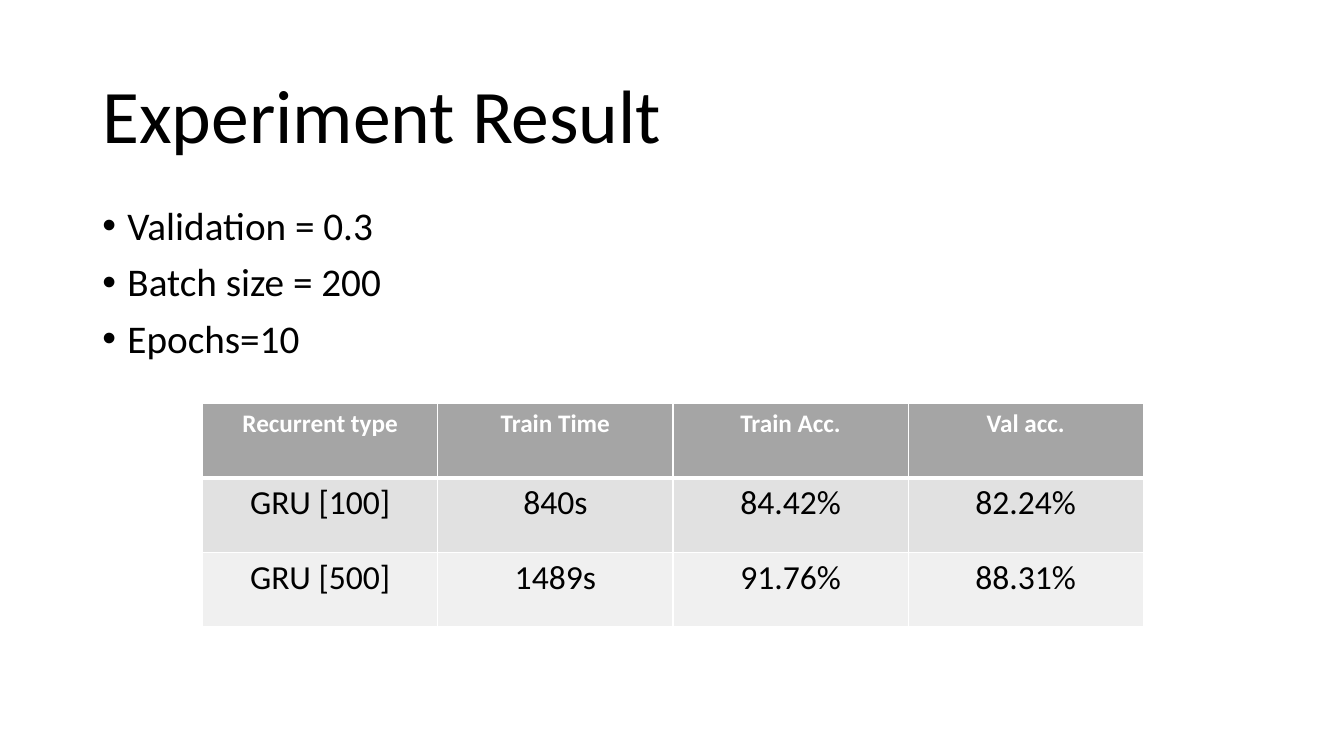
from dataclasses import dataclass

from lxml import etree
from pptx import Presentation
from pptx import util as u
from pptx.dml.color import RGBColor
from pptx.enum import text
from pptx.oxml.ns import qn

EMU_PER_PX = 9525


@dataclass(frozen=True)
class Theme:
    font: str = "Calibri"
    ink: str = "000000"
    paper: str = "FFFFFF"
    header_fill: str = "A5A5A5"
    band_fills: tuple = ("E1E1E1", "F0F0F0")
    title_size: int = 54
    bullet_size: int = 28
    header_size: int = 18
    value_size: int = 24
    thin_rule: int = 1
    thick_rule: int = 3


THEME = Theme()

SETTINGS = ["Validation = 0.3", "Batch size = 200", "Epochs=10"]
RESULTS = [
    ["Recurrent type", "Train Time", "Train Acc.", "Val acc."],
    ["GRU [100]", "840s", "84.42%", "82.24%"],
    ["GRU [500]", "1489s", "91.76%", "88.31%"],
]


def px(length):
    return u.Emu(length * EMU_PER_PX)


def write_text(paragraph, words, *, size, color=THEME.ink, bold=False,
               align=text.PP_ALIGN.LEFT):
    paragraph.alignment = align
    run = paragraph.add_run()
    run.text = words
    run.font.name = THEME.font
    run.font.size = u.Pt(size)
    run.font.bold = bold
    run.font.color.rgb = RGBColor.from_string(color)


def add_text_frame(slide, left, top, width, height):
    box = slide.shapes.add_textbox(px(left), px(top), px(width), px(height))
    box.text_frame.word_wrap = True
    return box.text_frame


def add_title(slide, words):
    frame = add_text_frame(slide, 88, 60, 1104, 97)
    write_text(frame.paragraphs[0], words, size=THEME.title_size)


def set_bullet(paragraph, indent):
    """Hang the paragraph by indent px behind a round bullet."""
    properties = paragraph._p.get_or_add_pPr()
    properties.set("marL", str(px(indent)))
    properties.set("indent", str(-px(indent)))
    etree.SubElement(properties, qn("a:buFont"), typeface="Arial")
    etree.SubElement(properties, qn("a:buChar"), char="•")


def add_bullets(slide, items):
    frame = add_text_frame(slide, 88, 192, 1104, 457)
    for index, item in enumerate(items):
        paragraph = frame.add_paragraph() if index else frame.paragraphs[0]
        paragraph.line_spacing = 0.9
        paragraph.space_before = u.Pt(10)
        set_bullet(paragraph, 24)
        write_text(paragraph, item, size=THEME.bullet_size)


def set_borders(cell, **widths):
    """Rule the sides L, R, T and B, in that order, at widths in points."""
    properties = cell._tc.get_or_add_tcPr()
    for position, (side, width) in enumerate(widths.items()):
        line = etree.Element(qn(f"a:ln{side}"), w=str(u.Pt(width)))
        fill = etree.SubElement(line, qn("a:solidFill"))
        etree.SubElement(fill, qn("a:srgbClr"), val=THEME.paper)
        properties.insert(position, line)


def add_results_table(slide, rows):
    column_width, row_height = 224, 71
    columns = len(rows[0])
    table = slide.shapes.add_table(
        len(rows), columns, px(193), px(384),
        px(column_width * columns), px(row_height * len(rows))).table
    for column in table.columns:
        column.width = px(column_width)
    header_style = dict(size=THEME.header_size, color=THEME.paper, bold=True)
    value_style = dict(size=THEME.value_size)
    fills = [THEME.header_fill, *THEME.band_fills]
    thin, thick = THEME.thin_rule, THEME.thick_rule
    for row_index, (values, fill) in enumerate(zip(rows, fills)):
        table.rows[row_index].height = px(row_height)
        style = value_style if row_index else header_style
        for column_index, value in enumerate(values):
            cell = table.cell(row_index, column_index)
            cell.fill.solid()
            cell.fill.fore_color.rgb = RGBColor.from_string(fill)
            set_borders(cell, L=thin, R=thin,
                        T=thick if row_index == 1 else thin,
                        B=thick if row_index == 0 else thin)
            write_text(cell.text_frame.paragraphs[0], value,
                       align=text.PP_ALIGN.CENTER, **style)


def main():
    presentation = Presentation()
    presentation.slide_width = px(1280)
    presentation.slide_height = px(720)
    slide = presentation.slides.add_slide(presentation.slide_layouts[6])
    add_bullets(slide, SETTINGS)
    add_title(slide, "Experiment Result")
    add_results_table(slide, RESULTS)
    presentation.save("out.pptx")


if __name__ == "__main__":
    main()
